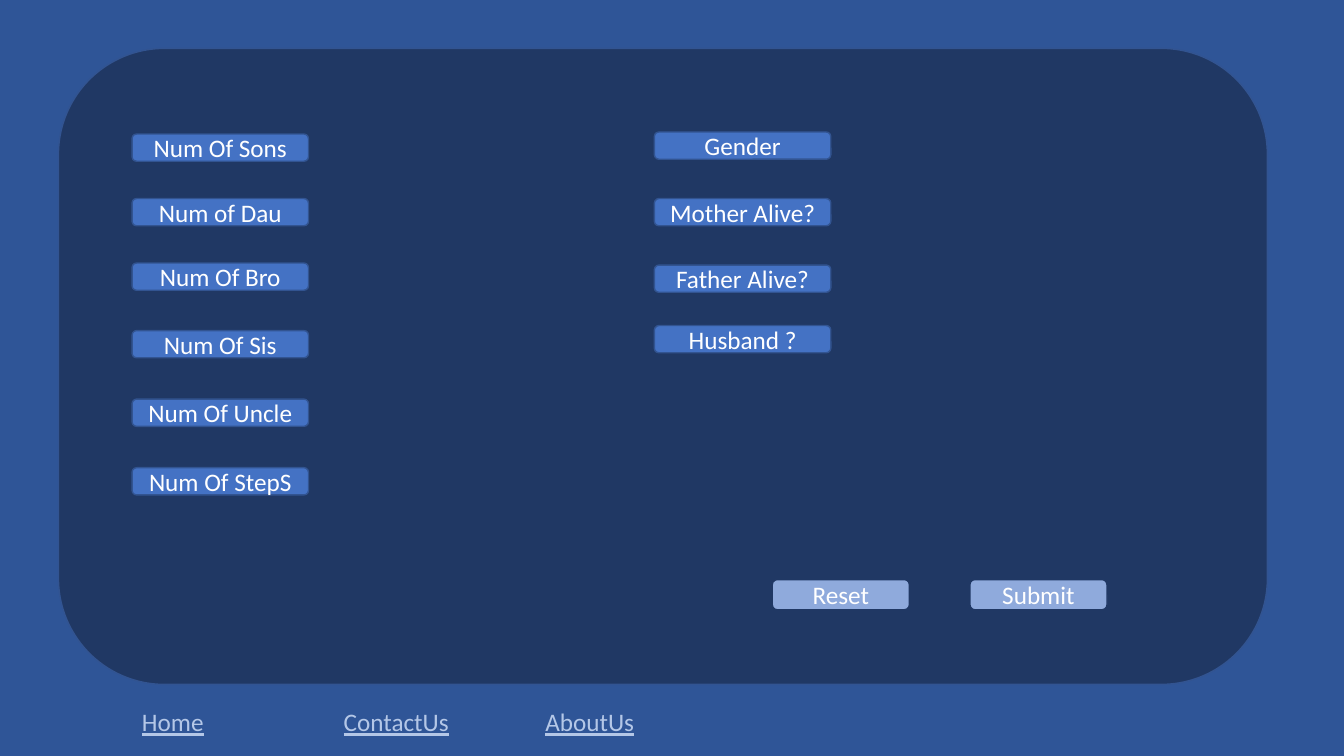
from lxml.etree import SubElement
from pptx import Presentation
from pptx.dml.color import RGBColor
from pptx.enum.shapes import MSO_SHAPE as Shape
from pptx.enum.text import MSO_ANCHOR as Anchor, PP_ALIGN as Align
from pptx.oxml.ns import qn
from pptx.util import Inches, Pt

COLORS = {
    "background": "2F5597",
    "panel": "203864",
    "label": "4472C4",
    "outline": "325491",
    "button": "8FAADC",
    "link": "B4C7E7",
    "text": "FFFFFF",
}
FONT = {"name": "Calibri", "size": Pt(18)}
FAMILY_COUNTS = [
    ("Num Of Sons", 1.33),
    ("Num of Dau", 1.97),
    ("Num Of Bro", 2.61),
    ("Num Of Sis", 3.28),
    ("Num Of Uncle", 3.96),
    ("Num Of StepS", 4.64),
]
FAMILY_STATUS = [
    ("Gender", 1.31),
    ("Mother Alive?", 1.97),
    ("Father Alive?", 2.63),
    ("Husband ?", 3.23),
]


def color(name):
    """Return the named palette colour."""
    return RGBColor.from_string(COLORS[name])


def add_text(paragraph, text, color_name, **formats):
    """Add a run in the slide's font."""
    run = paragraph.add_run()
    run.text = text
    for name, value in {**FONT, **formats}.items():
        setattr(run.font, name, value)
    run.font.color.rgb = color(color_name)


def add_rounded(slide, box, fill, outline, text=""):
    """Draw a rounded rectangle with optional centred text."""
    shape = slide.shapes.add_shape(Shape.ROUNDED_RECTANGLE, *map(Inches, box))
    shape.shadow.inherit = False
    shape.fill.solid()
    shape.fill.fore_color.rgb = color(fill)
    shape.line.color.rgb = color(outline)
    shape.line.width = Pt(1)
    if text:
        shape.text_frame.vertical_anchor = Anchor.MIDDLE
        paragraph = shape.text_frame.paragraphs[0]
        paragraph.alignment = Align.CENTER
        add_text(paragraph, text, "text")


def add_labels(slide, left, labels):
    """Stack a column of field labels at the given left edge."""
    for text, top in labels:
        add_rounded(slide, (left, top, 1.75, 0.27), "label", "outline", text)


def add_buttons(slide, left, top, texts):
    """Place the form buttons in a row at an equal pitch."""
    for index, text in enumerate(texts):
        box = (left + index * 1.96, top, 1.36, 0.3)
        add_rounded(slide, box, "button", "panel", text)


def add_footer(slide, box, links):
    """Write the underlined links at tab stops two inches apart."""
    text_box = slide.shapes.add_textbox(*map(Inches, box))
    text_box.text_frame.word_wrap = True
    paragraph = text_box.text_frame.paragraphs[0]
    tab_list = SubElement(paragraph._p.get_or_add_pPr(), qn("a:tabLst"))
    for index, text in enumerate(links):
        if index:
            SubElement(tab_list, qn("a:tab"), pos=str(Inches(2 * index)), algn="l")
            add_text(paragraph, "\t", "link")
        add_text(paragraph, text, "link", underline=True)


def build_form(slide):
    """Lay out the whole form slide."""
    slide.background.fill.solid()
    slide.background.fill.fore_color.rgb = color("background")
    add_rounded(slide, (0.58, 0.48, 11.99, 6.31), "panel", "outline")
    add_labels(slide, 1.31, FAMILY_COUNTS)
    add_labels(slide, 6.49, FAMILY_STATUS)
    add_buttons(slide, 7.66, 5.75, ["Reset", "Submit"])
    add_footer(slide, (1.31, 6.96, 5.25, 0.4), ["Home", "ContactUs", "AboutUs"])


def main():
    """Build and save the presentation."""
    presentation = Presentation()
    presentation.slide_width = Inches(13.33)
    presentation.slide_height = Inches(7.5)
    build_form(presentation.slides.add_slide(presentation.slide_layouts[6]))
    presentation.save("out.pptx")


if __name__ == "__main__":
    main()
